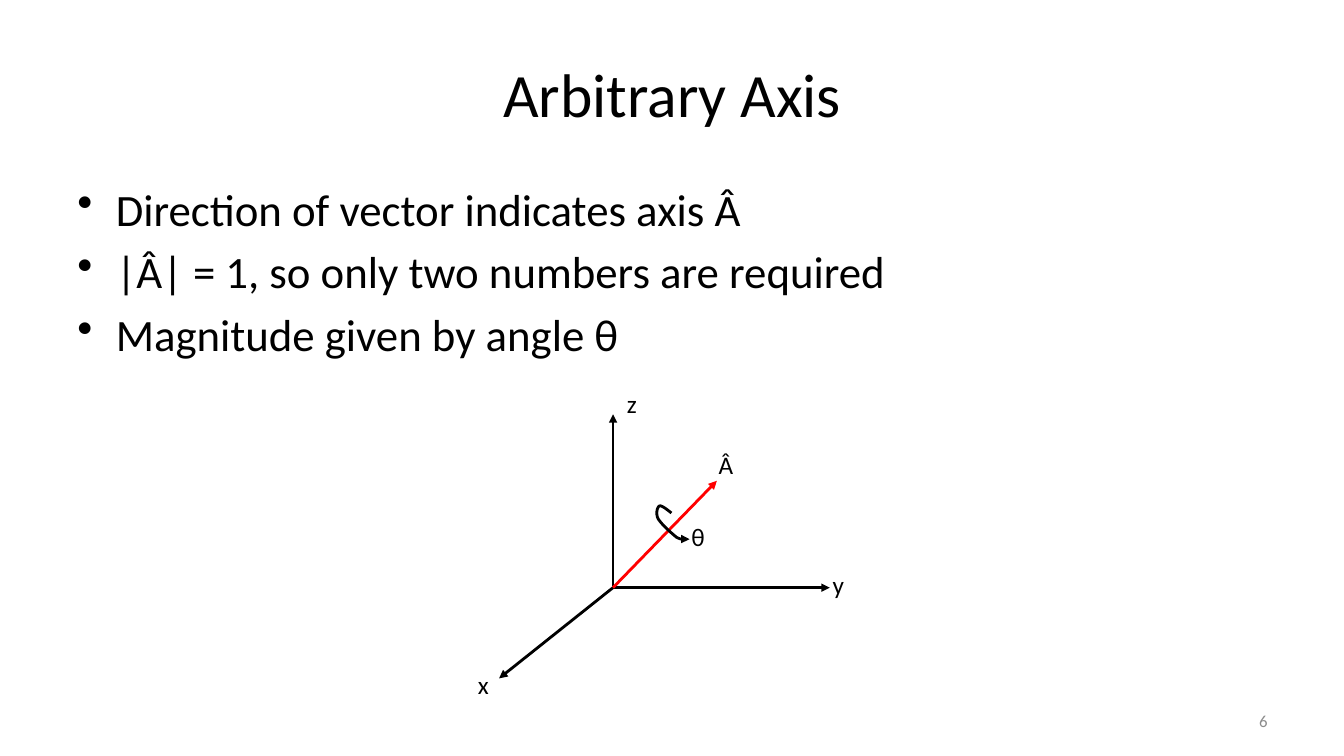
"""Build the "Arbitrary Axis" slide with its rotation-axis diagram."""
from dataclasses import dataclass

from lxml import etree
from pptx import Presentation
from pptx.dml.color import RGBColor
from pptx.enum.shapes import MSO_CONNECTOR
from pptx.enum.text import MSO_ANCHOR, MSO_AUTO_SIZE, PP_ALIGN
from pptx.oxml.ns import qn
from pptx.util import Inches, Pt

STRAIGHT = MSO_CONNECTOR.STRAIGHT
TOP, MIDDLE = MSO_ANCHOR.TOP, MSO_ANCHOR.MIDDLE
LEFT, CENTER, RIGHT = PP_ALIGN.LEFT, PP_ALIGN.CENTER, PP_ALIGN.RIGHT
FIT_SHAPE = MSO_AUTO_SIZE.SHAPE_TO_FIT_TEXT


@dataclass(frozen=True)
class Theme:
    font: str = "Calibri"
    ink: RGBColor = RGBColor(0, 0, 0)
    muted: RGBColor = RGBColor(0x8C, 0x8C, 0x8C)
    accent: RGBColor = RGBColor(0xFF, 0, 0)
    title: int = 44
    body: int = 32
    label: int = 18
    number: int = 12
    stroke: int = 2


THEME = Theme()

TITLE = "Arbitrary Axis"
BULLETS = [
    "Direction of vector indicates axis Â",
    "|Â| = 1, so only two numbers are required",
    "Magnitude given by angle θ",
]
PAGE_NUMBER = "6"
ORIGIN = (6.08, 5.83)
ARROWS = [
    ((4.95, 6.73), THEME.ink),
    ((8.23, 5.83), THEME.ink),
    ((6.08, 4.11), THEME.ink),
    ((7.11, 4.77), THEME.accent),
]
LABELS = [
    ("x", (4.64, 6.59, 0.31, 0.4)),
    ("y", (8.16, 5.6, 0.33, 0.4)),
    ("z", (6.12, 3.8, 0.3, 0.4)),
    ("Â", (7.03, 4.41, 0.35, 0.4)),
    ("θ", (6.76, 5.12, 0.33, 0.4)),
]
TURN_START = (6.66, 5.09)
TURN_CURVES = [
    ((6.61, 5.05), (6.56, 5.01), (6.54, 5.02)),
    ((6.52, 5.03), (6.5, 5.1), (6.53, 5.15)),
    ((6.56, 5.2), (6.66, 5.29), (6.71, 5.33)),
    ((6.76, 5.36), (6.8, 5.35), (6.84, 5.35)),
]
CURVE_STEPS = 8


def add_text(page, lines, place, size, color=THEME.ink, align=LEFT, anchor=TOP, wrap=True):
    box = page.shapes.add_textbox(*map(Inches, place))
    frame = box.text_frame
    frame.text = "\n".join(lines)
    frame.word_wrap = wrap
    frame.vertical_anchor = anchor
    for para in frame.paragraphs:
        para.alignment = align
        para.font.name = THEME.font
        para.font.size = Pt(size)
        para.font.color.rgb = color
    return frame


def add_bullet(para):
    para.space_before = Pt(THEME.body * 0.2)
    props = para._p.get_or_add_pPr()
    props.set("marL", str(Inches(0.38)))
    props.set("indent", str(Inches(-0.38)))
    bullet = etree.Element(qn("a:buChar"), char="•")
    props.find(qn("a:defRPr")).addprevious(bullet)


def style_arrow(shape, color):
    shape.line.color.rgb = color
    shape.line.width = Pt(THEME.stroke)
    etree.SubElement(shape.line._get_or_add_ln(), qn("a:tailEnd"), type="triangle")


def add_arrow(page, end, color):
    arrow = page.shapes.add_connector(STRAIGHT, *map(Inches, ORIGIN + end))
    style_arrow(arrow, color)
    etree.SubElement(arrow._element.spPr, qn("a:effectLst"))


def curve_points(start, curves):
    points = []
    for first, second, end in curves:
        for step in range(1, CURVE_STEPS + 1):
            t = step / CURVE_STEPS
            weights = ((1 - t) ** 3, 3 * t * (1 - t) ** 2, 3 * t**2 * (1 - t), t**3)
            controls = (start, first, second, end)
            points.append(tuple(
                Inches(sum(w * c[axis] for w, c in zip(weights, controls)))
                for axis in (0, 1)
            ))
        start = end
    return points


def add_turn(page):
    builder = page.shapes.build_freeform(*map(Inches, TURN_START))
    builder.add_line_segments(curve_points(TURN_START, TURN_CURVES), close=False)
    turn = builder.convert_to_shape()
    turn.shadow.inherit = False
    turn.fill.background()
    style_arrow(turn, THEME.ink)


def main():
    deck = Presentation()
    deck.slide_width, deck.slide_height = Inches(13.33), Inches(7.5)
    page = deck.slides.add_slide(deck.slide_layouts[6])

    add_text(page, [PAGE_NUMBER], (9.56, 6.95, 3.11, 0.4), THEME.number,
             THEME.muted, RIGHT, MIDDLE)
    add_text(page, [TITLE], (0.67, 0.3, 12, 1.25), THEME.title,
             align=CENTER, anchor=MIDDLE)
    body = add_text(page, BULLETS, (0.67, 1.75, 12, 4.95), THEME.body)
    for para in body.paragraphs:
        add_bullet(para)

    for end, color in ARROWS:
        add_arrow(page, end, color)
    add_turn(page)
    for text, place in LABELS:
        label = add_text(page, [text], place, THEME.label, wrap=False)
        label.auto_size = FIT_SHAPE

    deck.save("out.pptx")


if __name__ == "__main__":
    main()
